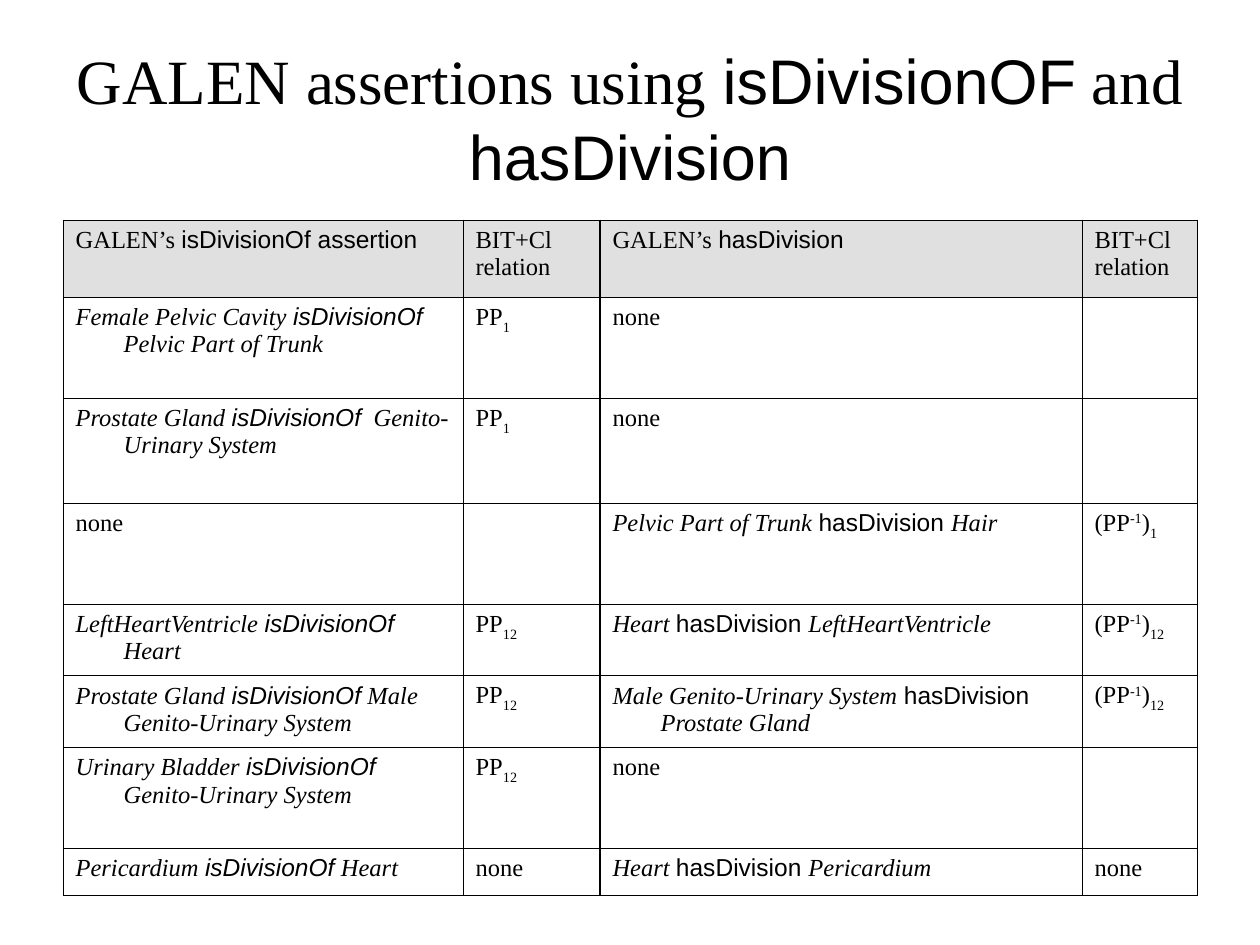
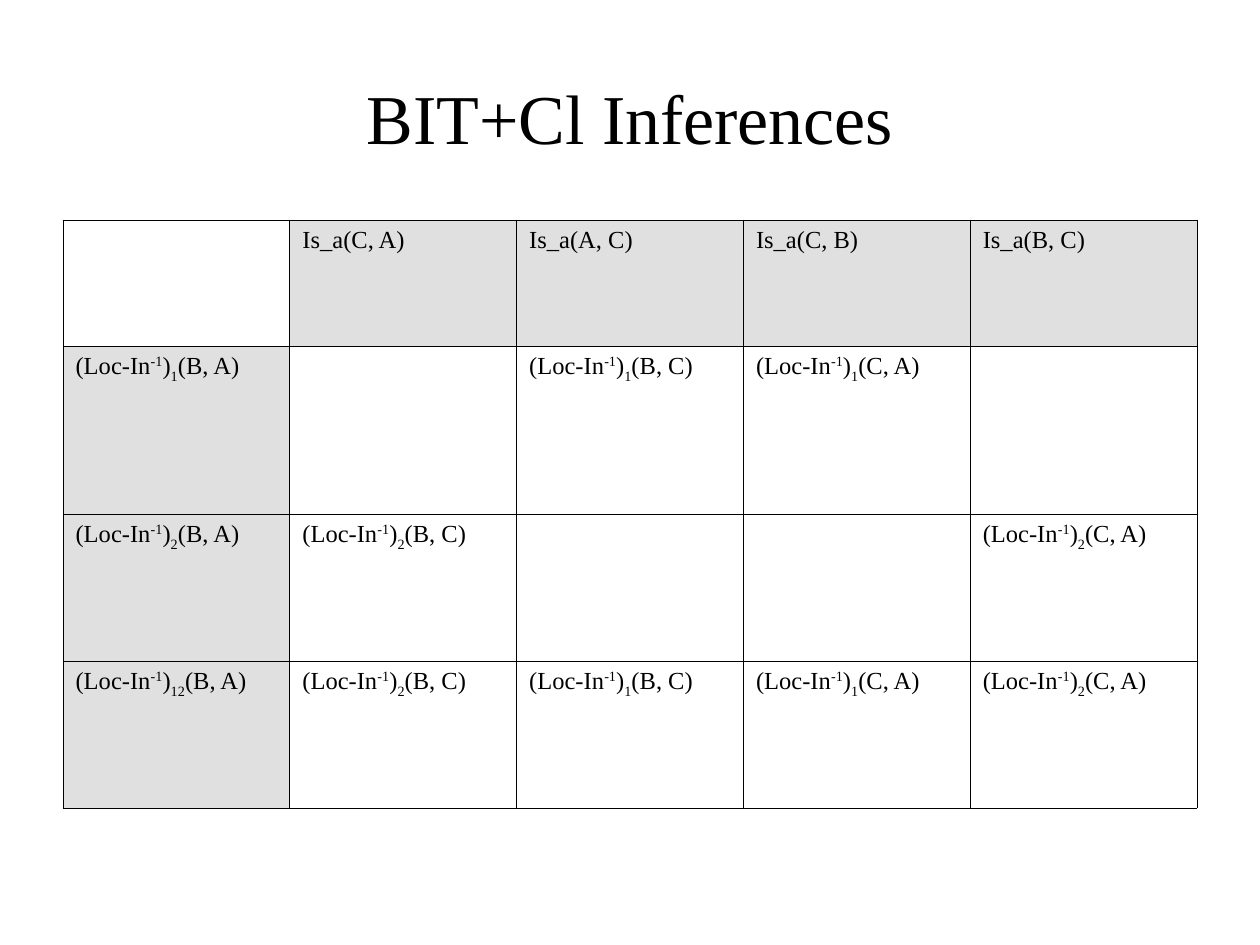
from lxml import etree
from pptx import Presentation
from pptx import util as u
from pptx.dml import color
from pptx.enum import text
from pptx.oxml import ns

SERIF, SANS = "Times New Roman", "Arial"
BLACK, GREY = "000000", "E0E0E0"


def px(n):
    return u.Emu(round(n * 914400 / 126))


def rgb(value):
    return color.RGBColor.from_string(value)


def set_all(obj, values):
    for name, value in values.items():
        setattr(obj, name, value)


class Deck:
    margin, width = 63, 1134
    title_top, title_height, table_top = 38, 158, 220
    hanging = 48
    thin, thick = 0.45, 0.96
    cell_size = 14

    def __init__(self):
        self.prs = Presentation()
        set_all(self.prs, {"slide_width": px(1260), "slide_height": px(945)})
        self.s = None

    def slide(self):
        self.s = self.prs.slides.add_slide(self.prs.slide_layouts[6])

    def runs(self, p, runs, size):
        for words, style in runs:
            r = p.add_run()
            r.text = words
            set_all(r.font, {"name": style.get("font", SERIF), "size": u.Pt(size),
                             "italic": style.get("italic", False)})
            r.font.color.rgb = rgb(BLACK)
            if "base" in style:
                r.font._element.set("baseline", str(style["base"] * 1000))

    def title(self, runs, size):
        tf = self.s.shapes.add_textbox(px(self.margin), px(self.title_top),
                                       px(self.width), px(self.title_height)).text_frame
        set_all(tf, {"word_wrap": True, "vertical_anchor": text.MSO_ANCHOR.MIDDLE})
        p = tf.paragraphs[0]
        p.alignment = text.PP_ALIGN.CENTER
        self.runs(p, runs, size)

    def border(self, cell, widths):
        tc_pr = cell._tc.get_or_add_tcPr()
        for side, width in zip("LRTB", widths):
            ln = etree.SubElement(tc_pr, ns.qn(f"a:ln{side}"), w=str(u.Pt(width)))
            fill = etree.SubElement(ln, ns.qn("a:solidFill"))
            etree.SubElement(fill, ns.qn("a:srgbClr"), val=BLACK)

    def cell(self, cell, paragraphs, shaded):
        if shaded:
            cell.fill.solid()
            cell.fill.fore_color.rgb = rgb(GREY)
        else:
            cell.fill.background()
        tf = cell.text_frame
        for i, runs in enumerate(paragraphs):
            p = tf.add_paragraph() if i else tf.paragraphs[0]
            p_pr = p._p.get_or_add_pPr()
            p_pr.set("marL", str(px(self.hanging)))
            p_pr.set("indent", str(-px(self.hanging)))
            self.runs(p, runs, self.cell_size)

    def table(self, cols, heights, rows, shaded, thick_edge=None):
        tb = self.s.shapes.add_table(len(rows), len(cols), px(self.margin), px(self.table_top),
                                     px(self.width), px(sum(heights))).table
        set_all(tb, {"first_row": False, "horz_banding": False})
        for col, width in zip(tb.columns, cols):
            col.width = px(width)
        for row, height in zip(tb.rows, heights):
            row.height = px(height)
        for i, row in enumerate(rows):
            for j, paragraphs in enumerate(row):
                cell = tb.cell(i, j)
                left, right = (self.thick if edge == thick_edge else self.thin
                               for edge in (j, j + 1))
                self.border(cell, (left, right, self.thin, self.thin))
                self.cell(cell, paragraphs, shaded(i, j))


def plain(*lines):
    return [[(line, {})] for line in lines]


def is_division(part, whole):
    it = {"italic": True}
    return [[(f"{part} ", it), ("isDivisionOf", {"font": SANS, **it}), (f" {whole}", it)]]


def has_division(whole, part):
    it = {"italic": True}
    return [[(f"{whole} ", it), ("hasDivision ", {"font": SANS}), (part, it)]]


def pp(index):
    return [[("PP", {}), (index, {"base": -30})]]


def inverse(relation, index, args=""):
    runs = [(f"({relation}", {}), ("-1", {"base": 30}), (")", {}), (index, {"base": -30})]
    return [runs + [(args, {})] if args else runs]


def loc_in(index, args):
    return inverse("Loc-In", index, args)


def assertions_slide(d):
    d.slide()
    d.title([("GALEN assertions using ", {}), ("isDivisionOF", {"font": SANS}),
             (" and ", {}), ("hasDivision", {"font": SANS})], 36)
    none, empty, relation = plain("none"), [], plain("BIT+Cl", "relation")
    rows = [
        [[[("GALEN’s ", {}), ("isDivisionOf assertion", {"font": SANS})]], relation,
         [[("GALEN’s ", {}), ("hasDivision", {"font": SANS})]], relation],
        [is_division("Female Pelvic Cavity", "Pelvic Part of Trunk"), pp("1"), none, empty],
        [is_division("Prostate Gland", " Genito-Urinary System"), pp("1"), none, empty],
        [none, empty, has_division("Pelvic Part of Trunk", "Hair"), inverse("PP", "1")],
        [is_division("LeftHeartVentricle", "Heart"), pp("12"),
         has_division("Heart", "LeftHeartVentricle"), inverse("PP", "12")],
        [is_division("Prostate Gland", "Male Genito-Urinary System"), pp("12"),
         has_division("Male Genito-Urinary System", "Prostate Gland"), inverse("PP", "12")],
        [is_division("Urinary Bladder", "Genito-Urinary System"), pp("12"), none, empty],
        [is_division("Pericardium", "Heart"), none, has_division("Heart", "Pericardium"), none],
    ]
    d.table([400, 137, 482, 115], [77, 101, 105, 101, 71, 72, 101, 47], rows,
            lambda i, j: i == 0, thick_edge=2)


def inferences_slide(d):
    d.slide()
    d.title([("BIT+Cl Inferences", {})], 40)
    empty = []
    subsumptions = ["C, A", "A, C", "C, B", "B, C"]
    rows = [
        [empty] + [plain(f"Is_a({pair})") for pair in subsumptions],
        [loc_in("1", "(B, A)"), empty, loc_in("1", "(B, C)"), loc_in("1", "(C, A)"), empty],
        [loc_in("2", "(B, A)"), loc_in("2", "(B, C)"), empty, empty, loc_in("2", "(C, A)")],
        [loc_in("12", "(B, A)"), loc_in("2", "(B, C)"), loc_in("1", "(B, C)"),
         loc_in("1", "(C, A)"), loc_in("2", "(C, A)")],
    ]
    d.table([d.width / 5] * 5, [126, 168, 147, 147], rows,
            lambda i, j: (i == 0) != (j == 0))


def main():
    d = Deck()
    assertions_slide(d)
    inferences_slide(d)
    d.prs.save("out.pptx")


if __name__ == "__main__":
    main()
